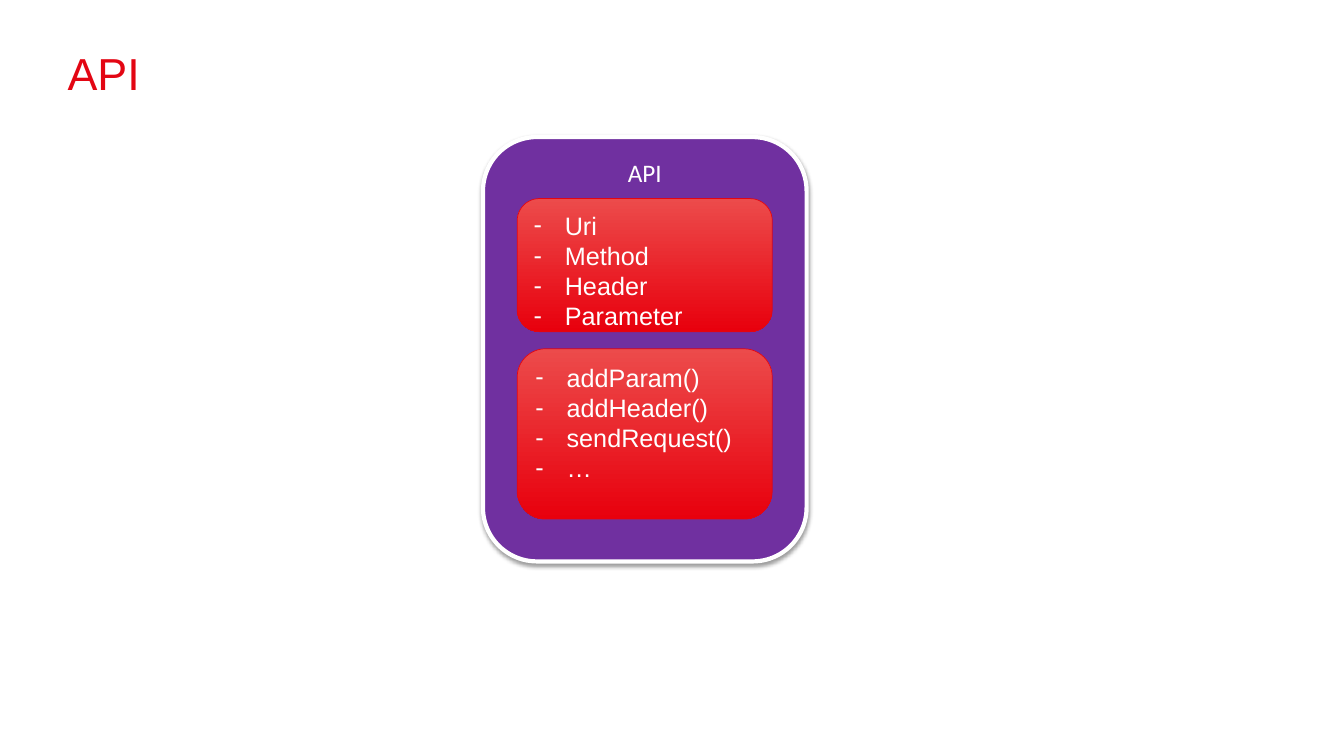
"""Builds a slide showing the fields and methods of an API class."""
import pptx
import pptx.util
import pptx.dml.color
import pptx.enum.shapes
import pptx.enum.text
import pptx.oxml
import pptx.oxml.ns
from pptx.util import Inches

TITLE = "API"
CLASS_NAME = "API"
MEMBERS = [
    (1.97, 1.32, ["Uri", "Method", "Header", "Parameter"]),
    (3.46, 1.69, ["addParam()", "addHeader()", "sendRequest()", "…"]),
]
CLASS_BOX = (4.79, 1.36, 3.21, 4.21)
MEMBER_LEFT, MEMBER_WIDTH = 5.13, 2.53
COLORS = {
    "title": "E30613",
    "class": "7030A0",
    "light": "FFFFFF",
    "member_top": "EC4B4B",
    "member_bottom": "E8000D",
    "shadow": "000000",
}
ALIGN = pptx.enum.text.PP_ALIGN
ANCHOR = pptx.enum.text.MSO_ANCHOR


def rgb(name):
    """Return the named colour."""
    return pptx.dml.color.RGBColor.from_string(COLORS[name])


def append_xml(parent, tag, content):
    """Append a drawing element, given as markup, to a parent."""
    parent.append(pptx.oxml.parse_xml(
        f'<a:{tag} {pptx.oxml.ns.nsdecls("a")} {content}</a:{tag}>'))


def write(frame, lines, size=18, font="Arial", color="light",
          align=ALIGN.LEFT, anchor=ANCHOR.TOP, margins=(0.1, 0.05), dashed=False):
    """Fill a text frame with one paragraph per line."""
    frame.word_wrap = True
    frame.auto_size = pptx.enum.text.MSO_AUTO_SIZE.NONE
    frame.vertical_anchor = anchor
    frame.margin_left = frame.margin_right = Inches(margins[0])
    frame.margin_top = frame.margin_bottom = Inches(margins[1])
    for index, line in enumerate(lines):
        paragraph = frame.add_paragraph() if index else frame.paragraphs[0]
        paragraph.alignment = align
        if dashed:
            properties = paragraph._p.get_or_add_pPr()
            properties.set("marL", str(Inches(0.31)))
            properties.set("indent", str(-Inches(0.31)))
            append_xml(properties, "buClr", f'><a:srgbClr val="{COLORS[color]}"/>')
            append_xml(properties, "buFont", 'typeface="Arial">')
            append_xml(properties, "buChar", 'char="-">')
        run = paragraph.add_run()
        run.text = line
        run.font.size = pptx.util.Pt(size)
        run.font.name = font
        run.font.color.rgb = rgb(color)


def add_rounded(slide, box, line_color, line_width):
    """Add an outlined rounded rectangle without a shadow."""
    shape = slide.shapes.add_shape(
        pptx.enum.shapes.MSO_SHAPE.ROUNDED_RECTANGLE, *map(Inches, box))
    shape.shadow.inherit = False
    shape.line.color.rgb = rgb(line_color)
    shape.line.width = pptx.util.Pt(line_width)
    return shape


def main():
    deck = pptx.Presentation()
    deck.slide_width, deck.slide_height = Inches(13.33), Inches(7.5)
    slide = deck.slides.add_slide(deck.slide_layouts[5])

    title = slide.shapes.title
    title.left, title.top = Inches(0.67), Inches(0.42)
    title.width, title.height = Inches(11.5), Inches(0.59)
    write(title.text_frame, [TITLE], size=32, color="title",
          anchor=ANCHOR.MIDDLE, margins=(0, 0))

    class_box = add_rounded(slide, CLASS_BOX, "light", 3)
    class_box.fill.solid()
    class_box.fill.fore_color.rgb = rgb("class")
    effects = class_box._element.spPr.find(pptx.oxml.ns.qn("a:effectLst"))
    append_xml(effects, "outerShdw",
               'blurRad="40000" dist="20000" dir="5400000" rotWithShape="0">'
               f'<a:srgbClr val="{COLORS["shadow"]}"><a:alpha val="38000"/></a:srgbClr>')
    write(class_box.text_frame, [CLASS_NAME], font="Calibri", align=ALIGN.CENTER)

    for top, height, names in MEMBERS:
        member_box = add_rounded(
            slide, (MEMBER_LEFT, top, MEMBER_WIDTH, height), "title", 0.5)
        member_box.fill.gradient()
        member_box.fill.gradient_angle = 270
        for stop, position, color in zip(member_box.fill.gradient_stops, (0, 1),
                                         ("member_top", "member_bottom")):
            stop.position = position
            stop.color.rgb = rgb(color)
        write(member_box.text_frame, names, dashed=True)

    deck.save("out.pptx")


if __name__ == "__main__":
    main()
